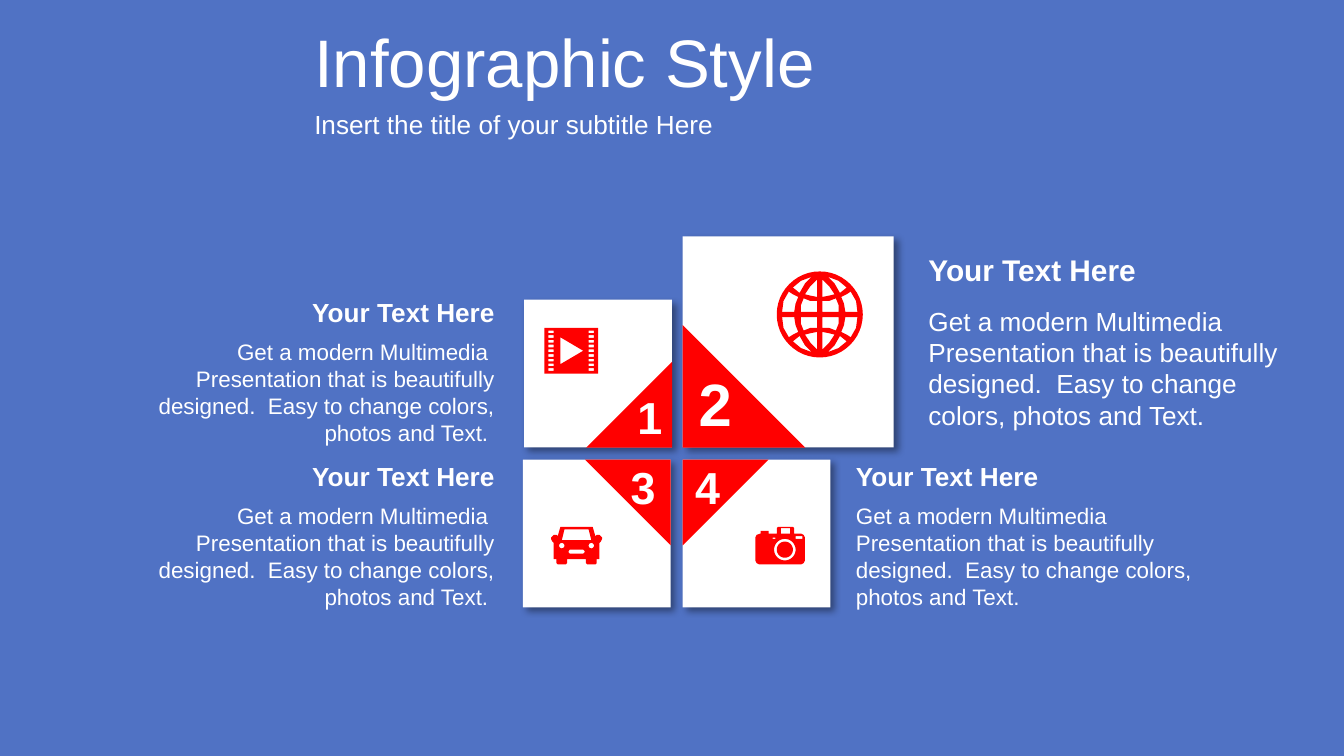
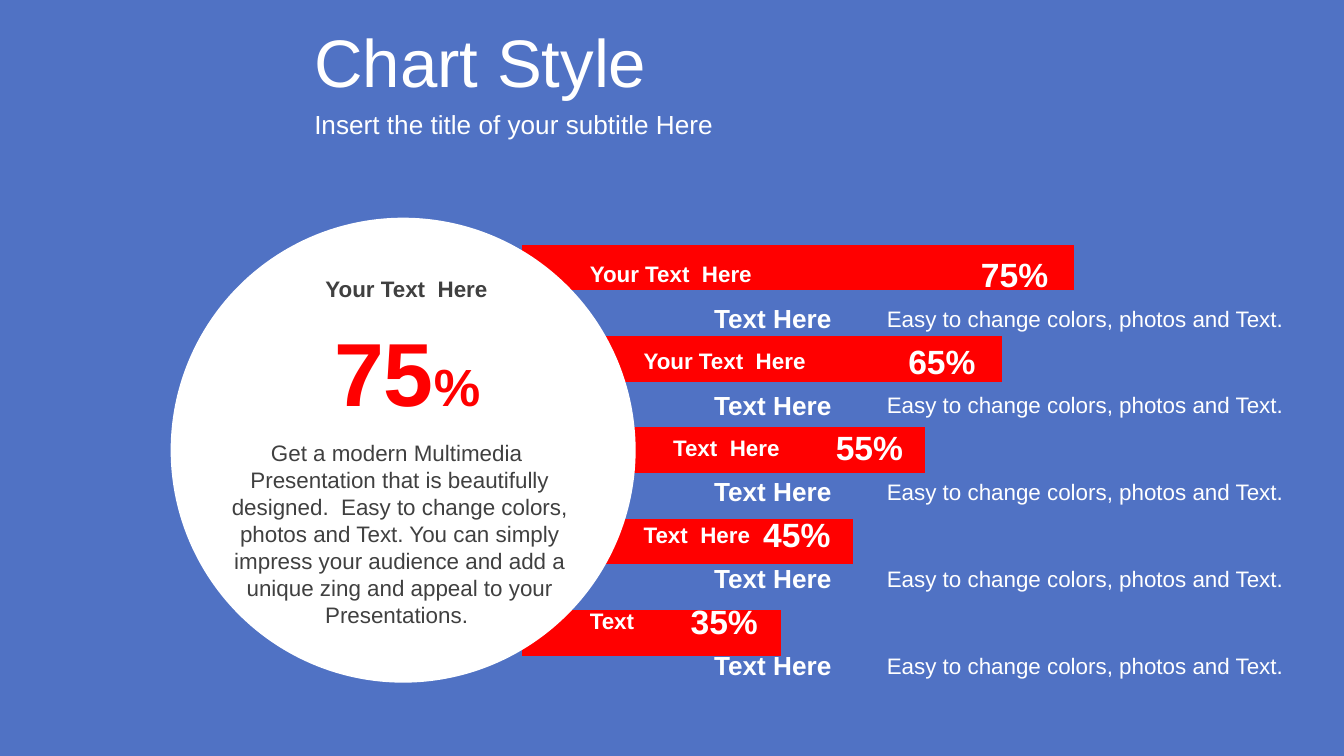
from dataclasses import dataclass
from math import cos, pi, sin

from lxml import etree
from pptx import Presentation
from pptx.chart.data import CategoryChartData
from pptx.dml.color import RGBColor
from pptx.enum.chart import XL_CHART_TYPE
from pptx.enum.shapes import MSO_SHAPE
from pptx.enum.text import MSO_ANCHOR, MSO_AUTO_SIZE, PP_ALIGN
from pptx.oxml import parse_xml
from pptx.oxml.ns import nsdecls, qn
from pptx.util import Inches, Pt

LEFT, CENTER, RIGHT = PP_ALIGN.LEFT, PP_ALIGN.CENTER, PP_ALIGN.RIGHT
RECTANGLE, TRIANGLE, OVAL = MSO_SHAPE.RECTANGLE, MSO_SHAPE.RIGHT_TRIANGLE, MSO_SHAPE.OVAL
BAR_STACKED = XL_CHART_TYPE.BAR_STACKED
MIDDLE, GROW = MSO_ANCHOR.MIDDLE, MSO_AUTO_SIZE.SHAPE_TO_FIT_TEXT

SLIDE_WIDTH = Inches(10)
SLIDE_HEIGHT = SLIDE_WIDTH * 9 // 16

FONT = "Arial"
BLUE, RED, WHITE, GREY, BLACK = "5072C4", "FF0000", "FFFFFF", "404040", "000000"
PITCH = "Get a modern Multimedia  Presentation that is beautifully designed.  Easy to change colors, photos and Text."

Point = tuple[float, float]
Contour = list[Point]


@dataclass
class Card:
    """A white square whose red corner turns toward the middle of the group."""
    left: float
    top: float
    size: float
    corner_rotation: int
    number: str
    number_left: float
    number_top: float
    number_size: int


@dataclass
class Caption:
    left: float
    top: float
    align: PP_ALIGN
    heading_size: int = 14
    body_size: int = 12
    body_offset: float = 0.31


@dataclass
class BarRow:
    label: str
    label_left: float
    percent: str
    value: int


CARDS = [
    Card(3.9, 2.23, 1.1, 270, "1", 4.63, 2.85, 24),
    Card(5.08, 1.76, 1.57, 0, "2", 5.1, 2.68, 32),
    Card(3.89, 3.42, 1.1, 180, "3", 4.58, 3.37, 24),
    Card(5.08, 3.42, 1.1, 90, "4", 5.06, 3.37, 24),
]
CAPTIONS = [
    Caption(6.27, 3.38, LEFT),
    Caption(6.81, 1.82, LEFT, 16, 14, 0.4),
    Caption(0.95, 3.38, RIGHT),
    Caption(0.95, 2.16, RIGHT),
]
# Rows from top to bottom
BAR_ROWS = [
    BarRow("Your Text  Here", 4.29, "75%", 100),
    BarRow("Your Text  Here", 4.69, "65%", 87),
    BarRow("Text  Here", 4.91, "55%", 73),
    BarRow("Text  Here", 4.69, "45%", 60),
    BarRow("Text", 4.29, "35%", 47),
]
ROW_STEP = 2.58 / 4


def rgb(color: str) -> RGBColor:
    return RGBColor.from_string(color)


def add_text(shapes, text: str, left: float, top: float, width: float, height: float,
             size: int, color: str = WHITE, bold: bool = False,
             align: PP_ALIGN = LEFT, wrap: bool = True, grow: bool = True):
    box = shapes.add_textbox(Inches(left), Inches(top), Inches(width), Inches(height))
    frame = box.text_frame
    frame.text = text
    frame.word_wrap = wrap
    if grow:
        frame.auto_size = GROW
    else:
        frame.vertical_anchor = MIDDLE
    paragraph = frame.paragraphs[0]
    paragraph.alignment = align
    for run in paragraph.runs:
        run.font.name, run.font.size, run.font.bold = FONT, Pt(size), bold
        run.font.color.rgb = rgb(color)
    return paragraph


def paint(shape, color: str) -> None:
    shape.shadow.inherit = False
    shape.fill.solid()
    shape.fill.fore_color.rgb = rgb(color)
    shape.line.fill.background()


def add_preset(shapes, preset: MSO_SHAPE, left: float, top: float, size: float, color: str):
    shape = shapes.add_shape(preset, Inches(left), Inches(top), Inches(size), Inches(size))
    paint(shape, color)
    return shape


def drop_shadow(shape) -> None:
    effects = shape._element.spPr.find(qn("a:effectLst"))
    effects.append(parse_xml(
        f'<a:outerShdw {nsdecls("a")} blurRad="{Pt(4)}" dist="{Pt(3)}" dir="2700000" '
        f'algn="tl" rotWithShape="0"><a:srgbClr val="{BLACK}"><a:alpha val="40000"/>'
        '</a:srgbClr></a:outerShdw>'))


# Icon outlines: inner contours cut holes into the outer ones
def box(left: float, top: float, right: float, bottom: float) -> Contour:
    return [(left, top), (right, top), (right, bottom), (left, bottom)]


def disc(x: float, y: float, radius: float, steps: int = 48) -> Contour:
    angles = [2 * pi * i / steps for i in range(steps)]
    return [(x + radius * cos(a), y + radius * sin(a)) for a in angles]


def mirrored(center: float, half: Contour) -> Contour:
    """Close a right half, given as offsets from the center, with its mirror."""
    return ([(center + x, y) for x, y in half]
            + [(center - x, y) for x, y in reversed(half)])


def globe() -> list[Contour]:
    x, y = 6.1, 2.34
    quarter = [
        [(0.02, 0.02), (0.14, 0.02), (0.14, 0.07), (0.12, 0.12), (0.07, 0.1), (0.02, 0.1)],
        [(0.19, 0.02), (0.28, 0.02), (0.27, 0.1), (0.23, 0.17), (0.2, 0.15),
         (0.16, 0.13), (0.18, 0.08)],
        [(0.02, 0.13), (0.07, 0.14), (0.11, 0.15), (0.07, 0.21), (0.02, 0.26)],
        [(0.06, 0.28), (0.11, 0.23), (0.15, 0.16), (0.2, 0.2), (0.14, 0.25)],
    ]
    return [disc(x, y, 0.32)] + [
        [(x + sx * dx, y + sy * dy) for dx, dy in hole]
        for sx in (-1, 1) for sy in (-1, 1) for hole in quarter]


def film() -> list[Contour]:
    pitch = 0.28 / 8
    holes = [box(left, 2.46 + pitch * i, left + 0.04, 2.48 + pitch * i)
             for left in (4.08, 4.38) for i in range(9)]
    return [box(4.05, 2.44, 4.45, 2.78), [(4.17, 2.51), (4.34, 2.61), (4.17, 2.71)]] + holes


def camera() -> list[Contour]:
    body = [(5.78, 3.93), (5.79, 3.92), (5.9, 3.92), (5.91, 3.93), (5.91, 3.97),
            (5.96, 3.97), (5.98, 3.98), (5.99, 4.0), (5.99, 4.17), (5.98, 4.19),
            (5.96, 4.2), (5.65, 4.2), (5.63, 4.19), (5.62, 4.17), (5.62, 4.0),
            (5.63, 3.98), (5.66, 3.97), (5.66, 3.95), (5.72, 3.95), (5.72, 3.97), (5.78, 3.97)]
    return [body, disc(5.84, 4.09, 0.08), disc(5.84, 4.09, 0.06),
            box(5.75, 4.0, 5.77, 4.01), box(5.92, 3.99, 5.97, 4.01),
            box(5.81, 3.93, 5.88, 3.97)]


def car() -> list[Contour]:
    x = 4.29
    body = [(0.12, 3.92), (0.14, 3.99), (0.15, 3.98), (0.17, 3.98), (0.19, 4.0),
            (0.19, 4.01), (0.18, 4.03), (0.17, 4.04), (0.17, 4.16), (0.15, 4.16),
            (0.15, 4.19), (0.14, 4.2), (0.08, 4.2), (0.07, 4.19), (0.07, 4.16)]
    grille = [(0.05, 4.09), (0.06, 4.1), (0.06, 4.11), (0.05, 4.12)]
    return [mirrored(x, body), mirrored(x, [(0.09, 3.94), (0.11, 4.02)]),
            mirrored(x, grille), disc(x - 0.11, 4.06, 0.02), disc(x + 0.11, 4.06, 0.02)]


def add_icon(shapes, contours: list[Contour]) -> None:
    builder = None
    for contour in contours:
        start, *rest = [(Inches(x), Inches(y)) for x, y in contour]
        if builder is None:
            builder = shapes.build_freeform(*start)
        else:
            builder.move_to(*start)
        builder.add_line_segments(rest, close=True)
    paint(builder.convert_to_shape(), RED)


def add_titled_slide(deck, title: str):
    slide = deck.slides.add_slide(deck.slide_layouts[6])
    slide.background.fill.solid()
    slide.background.fill.fore_color.rgb = rgb(BLUE)
    add_text(slide.shapes, title, 2.24, 0.14, 7.76, 0.63, 36, grow=False)
    add_text(slide.shapes, "Insert the title of your subtitle Here",
             2.24, 0.77, 7.76, 0.31, 14, grow=False)
    return slide


def add_card(shapes, card: Card) -> None:
    parts = shapes.add_group_shape().shapes
    drop_shadow(add_preset(parts, RECTANGLE, card.left, card.top, card.size, WHITE))
    corner_size = 0.58 * card.size
    slack = card.size - corner_size
    left = card.left + (slack if card.corner_rotation in (180, 270) else 0)
    top = card.top + (slack if card.corner_rotation in (0, 270) else 0)
    corner = add_preset(parts, TRIANGLE, left, top, corner_size, RED)
    corner.rotation = card.corner_rotation


def add_caption(shapes, caption: Caption) -> None:
    parts = shapes.add_group_shape().shapes
    body = PITCH + " " if caption.align == RIGHT else PITCH
    add_text(parts, body, caption.left, caption.top + caption.body_offset, 2.83, 0.91,
             caption.body_size, align=caption.align)
    add_text(parts, "Your Text Here", caption.left, caption.top, 2.83, 0.34,
             caption.heading_size, bold=True, align=caption.align)


def build_infographic(deck) -> None:
    shapes = add_titled_slide(deck, "Infographic Style").shapes
    for card in CARDS:
        add_card(shapes, card)
    for contours in (globe(), film(), camera(), car()):
        add_icon(shapes, contours)
    for card in CARDS:
        add_text(shapes, card.number, card.number_left, card.number_top, 0.41, 0.5,
                 card.number_size, bold=True, align=CENTER)
    for caption in CAPTIONS:
        add_caption(shapes, caption)


def add_bars(shapes) -> None:
    data = CategoryChartData()
    data.categories = ["1", "2", "3", "4", "5"]
    data.add_series("Series 1", [row.value for row in reversed(BAR_ROWS)])
    chart = shapes.add_chart(BAR_STACKED, Inches(3.79), Inches(1.58),
                             Inches(4.57), Inches(3.54), data).chart
    chart.has_title = chart.has_legend = False
    chart.font.name, chart.font.size = FONT, Pt(18)
    chart.font.color.rgb = rgb(BLACK)
    for axis in (chart.category_axis, chart.value_axis):
        axis.has_major_gridlines = False
        axis.visible = False
    chart.value_axis.minimum_scale, chart.value_axis.maximum_scale = 0, 100
    plot = chart.plots[0]
    plot.gap_width, plot.overlap, plot.vary_by_categories = 100, 100, False
    fill = plot.series[0].format.fill
    fill.solid()
    fill.fore_color.rgb = rgb(RED)

    # Fixed plot area, as fractions of the chart
    area = chart._chartSpace.chart.plotArea
    for old in area.findall(qn("c:layout")):
        area.remove(old)
    layout = etree.Element(qn("c:layout"))
    manual = etree.SubElement(layout, qn("c:manualLayout"))
    for tag, value in (("layoutTarget", "inner"), ("xMode", "edge"), ("yMode", "edge"),
                       ("x", "0.02"), ("y", "0.02"), ("w", "0.9"), ("h", "0.96")):
        etree.SubElement(manual, qn(f"c:{tag}")).set("val", value)
    area.insert(0, layout)


def build_chart(deck) -> None:
    shapes = add_titled_slide(deck, "Chart Style").shapes
    add_bars(shapes)

    # Summary circle
    add_preset(shapes, OVAL, 1.27, 1.62, 3.46, WHITE)
    total = add_text(shapes, "75", 2.38, 2.31, 1.3, 0.91, 48, RED, True, CENTER, wrap=False)
    sign = total.add_run()
    sign.text = "%"
    sign.font.name, sign.font.size, sign.font.bold = FONT, Pt(28), True
    sign.font.color.rgb = rgb(RED)
    add_text(shapes, "Your Text  Here", 2.19, 2, 1.67, 0.3, 12, GREY, True, CENTER)
    add_text(shapes, PITCH + " You can simply impress your audience and add a unique zing "
             "and appeal to your Presentations. ", 1.44, 3.22, 3.07, 1.51, 12, GREY, align=CENTER)

    # Labels on and below each bar
    for i, row in enumerate(BAR_ROWS):
        drop = i * ROW_STEP
        add_text(shapes, row.percent, 7.2 - 0.54 * i, 1.84 + drop, 0.71, 0.4, 18,
                 bold=True, wrap=False)
        add_text(shapes, row.label, row.label_left, 1.89 + drop, 1.67, 0.3, 12, bold=True)
        add_text(shapes, "Easy to change colors, photos and Text.",
                 6.5, 2.22 + drop, 3.31, 0.3, 12)
        add_text(shapes, "Text Here", 5.04, 2.2 + drop, 1.42, 0.34, 14,
                 bold=True, align=CENTER)


def main() -> None:
    deck = Presentation()
    deck.slide_width, deck.slide_height = SLIDE_WIDTH, SLIDE_HEIGHT
    build_infographic(deck)
    build_chart(deck)
    deck.save("out.pptx")


if __name__ == "__main__":
    main()
